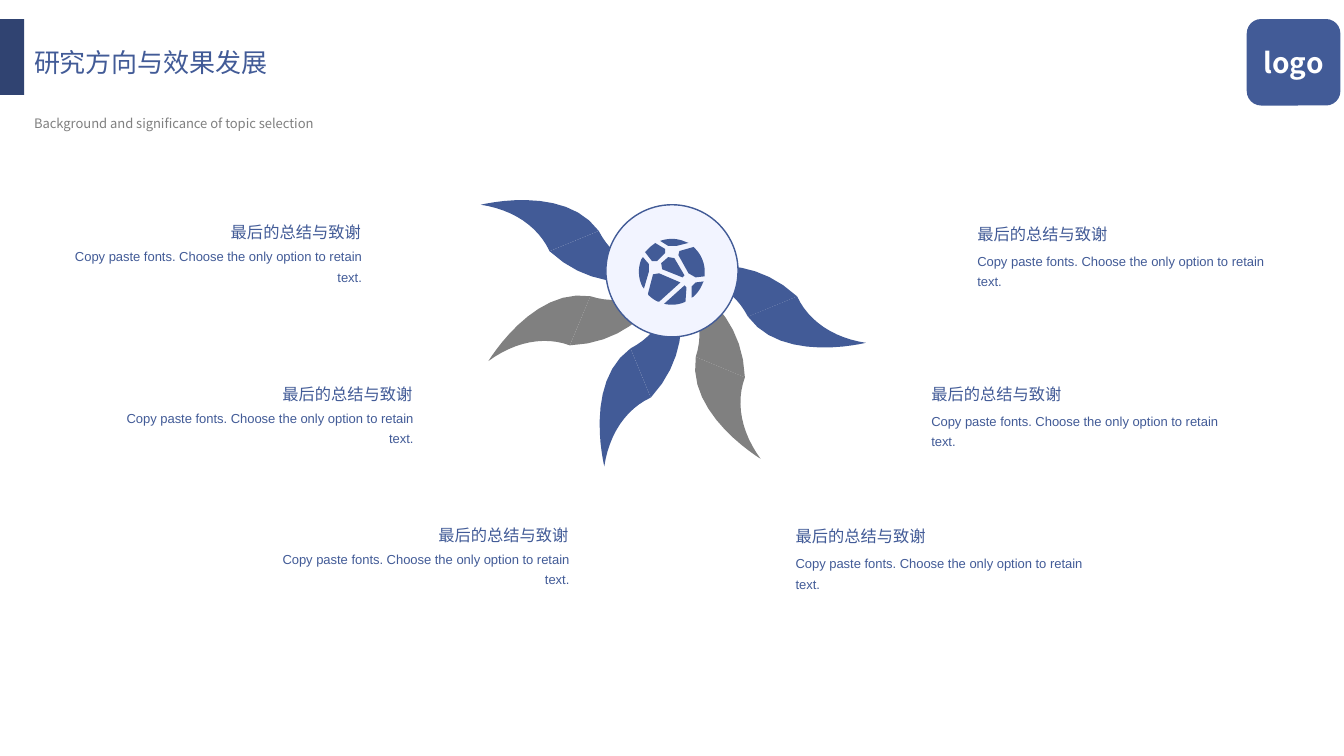
from dataclasses import dataclass
from math import atan2, cos, hypot, pi, radians, remainder, sin

from lxml import etree
from pptx import Presentation
from pptx.dml.color import RGBColor
from pptx.enum.shapes import MSO_SHAPE
from pptx.enum.text import MSO_ANCHOR, PP_ALIGN
from pptx.oxml.ns import qn
from pptx.util import Cm, Pt

LEFT, RIGHT, CENTER = PP_ALIGN.LEFT, PP_ALIGN.RIGHT, PP_ALIGN.CENTER
TOP, MIDDLE = MSO_ANCHOR.TOP, MSO_ANCHOR.MIDDLE
RECTANGLE, ROUNDED, OVAL = MSO_SHAPE.RECTANGLE, MSO_SHAPE.ROUNDED_RECTANGLE, MSO_SHAPE.OVAL
CURVE_STEPS = 12


@dataclass(frozen=True)
class Theme:
    blue: RGBColor = RGBColor.from_string("425B97")
    navy: RGBColor = RGBColor.from_string("304371")
    gray: RGBColor = RGBColor.from_string("808080")
    pale: RGBColor = RGBColor.from_string("F2F4FF")
    white: RGBColor = RGBColor.from_string("FFFFFF")
    heading_font: str = "Noto Sans CJK SC"
    body_font: str = "Arial"
    title_size: float = 32
    subtitle_size: float = 16
    heading_size: float = 20
    body_size: float = 9.3


theme = Theme()


def write_text(shape, text, *, size, color, font=theme.heading_font, align=LEFT, anchor=TOP,
               spacing=1.0, before=0, bold=False, lowered=False):
    frame = shape.text_frame
    frame.word_wrap = True
    frame.vertical_anchor = anchor
    paragraph = frame.add_paragraph() if frame.text else frame.paragraphs[0]
    paragraph.alignment = align
    paragraph.line_spacing = spacing
    if before:
        paragraph.space_before = Pt(before)
    run = paragraph.add_run()
    run.text = text
    run.font.size = Pt(size)
    run.font.bold = bold
    run.font.color.rgb = color
    run.font.name = font
    properties = run._r.get_or_add_rPr()
    etree.SubElement(properties, qn("a:ea")).set("typeface", font)
    if lowered:
        properties.set("baseline", "-25000")


def draw_outline(contours, *, center, unit, color, angle=0):
    turn_cos, turn_sin = cos(radians(angle)), sin(radians(angle))
    builder = None
    for contour in contours:
        placed = [(round(center[0] + unit * (x * turn_cos - y * turn_sin)),
                   round(center[1] + unit * (x * turn_sin + y * turn_cos))) for x, y in contour]
        if builder is None:
            builder = slide.shapes.build_freeform(*placed[0])
        else:
            builder.move_to(*placed[0])
        builder.add_line_segments(placed[1:], close=True)
    shape = builder.convert_to_shape()
    shape.shadow.inherit = False
    shape.fill.solid()
    shape.fill.fore_color.rgb = color
    shape.line.fill.background()


presentation = Presentation()
presentation.slide_width = Cm(33.87)
presentation.slide_height = Cm(19.05)
slide = presentation.slides.add_slide(presentation.slide_layouts[6])

title_box = slide.shapes.add_textbox(Cm(0.61), Cm(0.69), Cm(10.95), Cm(2.29))
write_text(title_box, "研究方向与效果发展", size=theme.title_size, color=theme.blue,
           spacing=0.6, lowered=True)
write_text(title_box, "Background and significance of topic selection",
           size=theme.subtitle_size, color=theme.gray, spacing=0.6, before=28, lowered=True)

WAIST_LOW, WAIST_HIGH = (1.88, 1.08), (3.12, 0.57)
PETAL_TIP, PETAL_ROOT = (4.85, 1.74), (0.1, 0)
PETAL_HALVES = [
    [(WAIST_LOW, (2.74, 2.27), PETAL_TIP, PETAL_TIP),
     (PETAL_TIP, (4.05, 1.62), (3.41, 1.2), WAIST_HIGH)],
    [(WAIST_HIGH, (1.73, -0.72), PETAL_ROOT, PETAL_ROOT),
     (PETAL_ROOT, (0.9, 0.05), (1.55, 0.43), WAIST_LOW)],
]
petal_outlines = []
for curves in PETAL_HALVES:
    outline = []
    for curve in curves:
        for step in range(CURVE_STEPS + 1):
            t = step / CURVE_STEPS
            weights = ((1 - t) ** 3, 3 * t * (1 - t) ** 2, 3 * t * t * (1 - t), t ** 3)
            outline.append([sum(weight * value for weight, value in zip(weights, axis))
                            for axis in zip(*curve)])
    petal_outlines.append(outline)
for index in range(5):
    for outline in petal_outlines:
        draw_outline([outline], center=(Cm(16.97), Cm(6.9)), unit=Cm(1),
                     color=theme.gray if index % 2 else theme.blue, angle=45 * index)

preset_shapes = [
    (RECTANGLE, 0, 0.48, 0.61, 1.91, theme.navy),
    (ROUNDED, 31.42, 0.48, 2.36, 2.18, theme.blue),
    (OVAL, 15.27, 5.16, 3.33, 3.33, theme.pale),
]
for kind, left, top, width, height, fill in preset_shapes:
    shape = slide.shapes.add_shape(kind, Cm(left), Cm(top), Cm(width), Cm(height))
    shape.shadow.inherit = False
    shape.fill.solid()
    shape.fill.fore_color.rgb = fill
    if kind == OVAL:
        shape.line.color.rgb = theme.blue
        shape.line.width = Pt(1)
    else:
        shape.line.fill.background()
    if kind == ROUNDED:
        write_text(shape, "logo", size=theme.heading_size, color=theme.white, align=CENTER,
                   anchor=MIDDLE, bold=True)

GLOBE_RADIUS = 32.5
GLOBE_PARTS = [
    [(45, 46), (25, 64), (46, 62), (47, 48)],
    [(54, 8), (40, 12), (39, 16), (49, 34), (56, 38), (65, 37)],
    [(41, 43), (20, 34), (14, 35), (9, 54), (20, 62)],
    [(52, 47), (52, 58), (64, 42), (56, 43)],
    [(43, 38), (45, 36), (35, 19), (29, 18), (22, 24), (23, 30)],
    [(37, 7), (49, 4), (21, 2), (29, 7)],
    [(10, 25), (4, 18), (5, 49), (10, 32)],
    [(18, 22), (26, 14), (26, 10), (16, 4), (6, 13), (13, 22)],
]
globe_outlines = []
for part in GLOBE_PARTS:
    corners = [(x - GLOBE_RADIUS, y - GLOBE_RADIUS) for x, y in part]
    outline = []
    for corner, following in zip(corners, corners[1:] + corners[:1]):
        outline.append(corner)
        if min(hypot(*corner), hypot(*following)) > GLOBE_RADIUS - 2:
            begin = atan2(corner[1], corner[0])
            sweep = remainder(atan2(following[1], following[0]) - begin, 2 * pi)
            for step in range(1, CURVE_STEPS):
                turn = begin + sweep * step / CURVE_STEPS
                outline.append((GLOBE_RADIUS * cos(turn), GLOBE_RADIUS * sin(turn)))
    globe_outlines.append(outline)
draw_outline(globe_outlines, center=(Cm(16.93), Cm(6.85)),
             unit=Cm(0.83) / GLOBE_RADIUS, color=theme.blue)

card_columns = [
    (RIGHT, 0.82, [(1.6, 5.21), (2.9, 9.27), (6.83, 12.83)]),
    (LEFT, 0.96, [(24.38, 5.18), (23.22, 9.22), (19.8, 12.8)]),
]
for align, heading_height, places in card_columns:
    for left, top in places:
        heading_box = slide.shapes.add_textbox(Cm(left), Cm(top), Cm(7.75), Cm(heading_height))
        write_text(heading_box, "最后的总结与致谢", size=theme.heading_size, color=theme.blue,
                   align=align, anchor=MIDDLE, lowered=True)
        body_box = slide.shapes.add_textbox(Cm(left), Cm(top + heading_height), Cm(7.77), Cm(1.22))
        write_text(body_box, "Copy paste fonts. Choose the only option to retain text.",
                   size=theme.body_size, color=theme.blue, font=theme.body_font, align=align,
                   spacing=1.3)

presentation.save("out.pptx")
